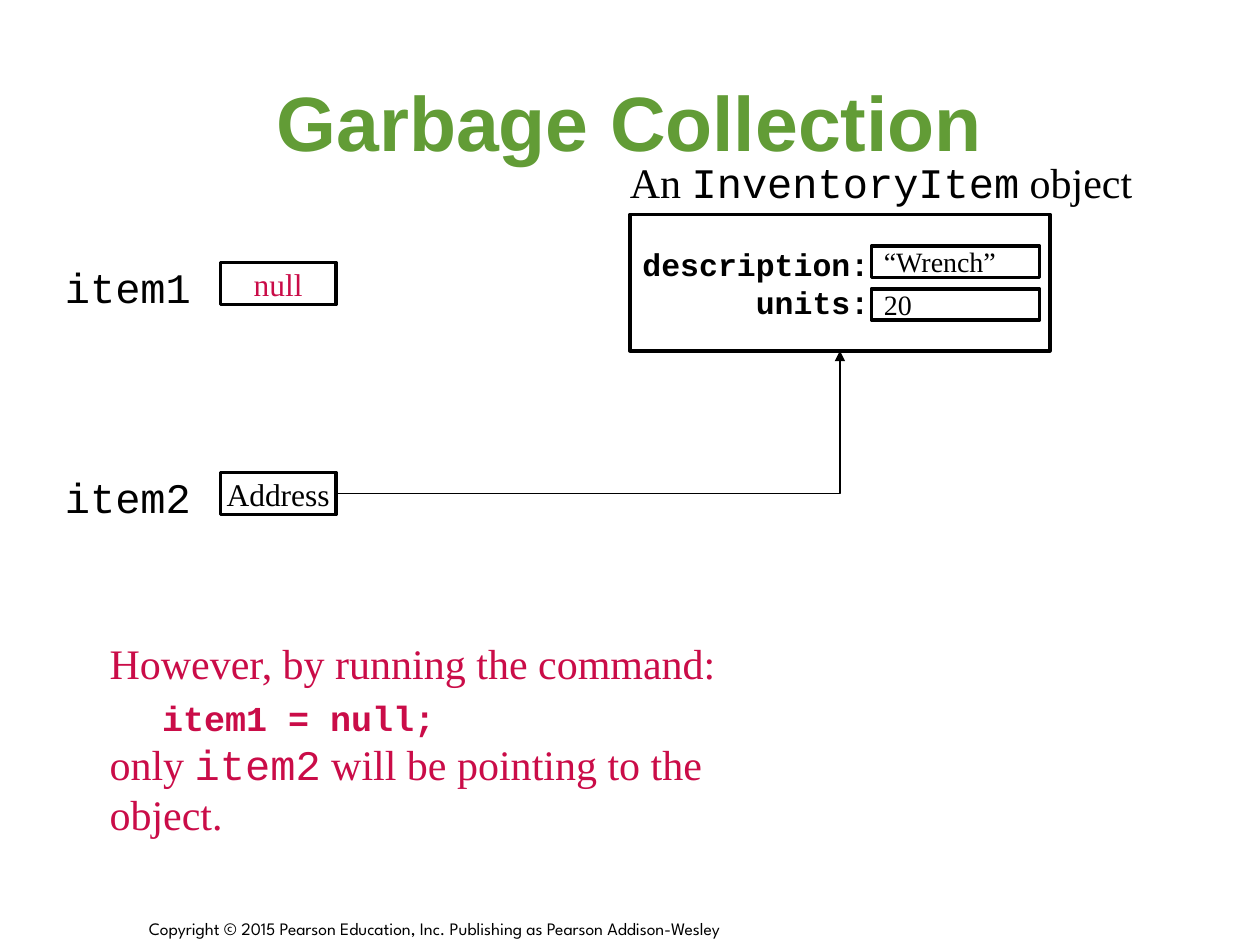
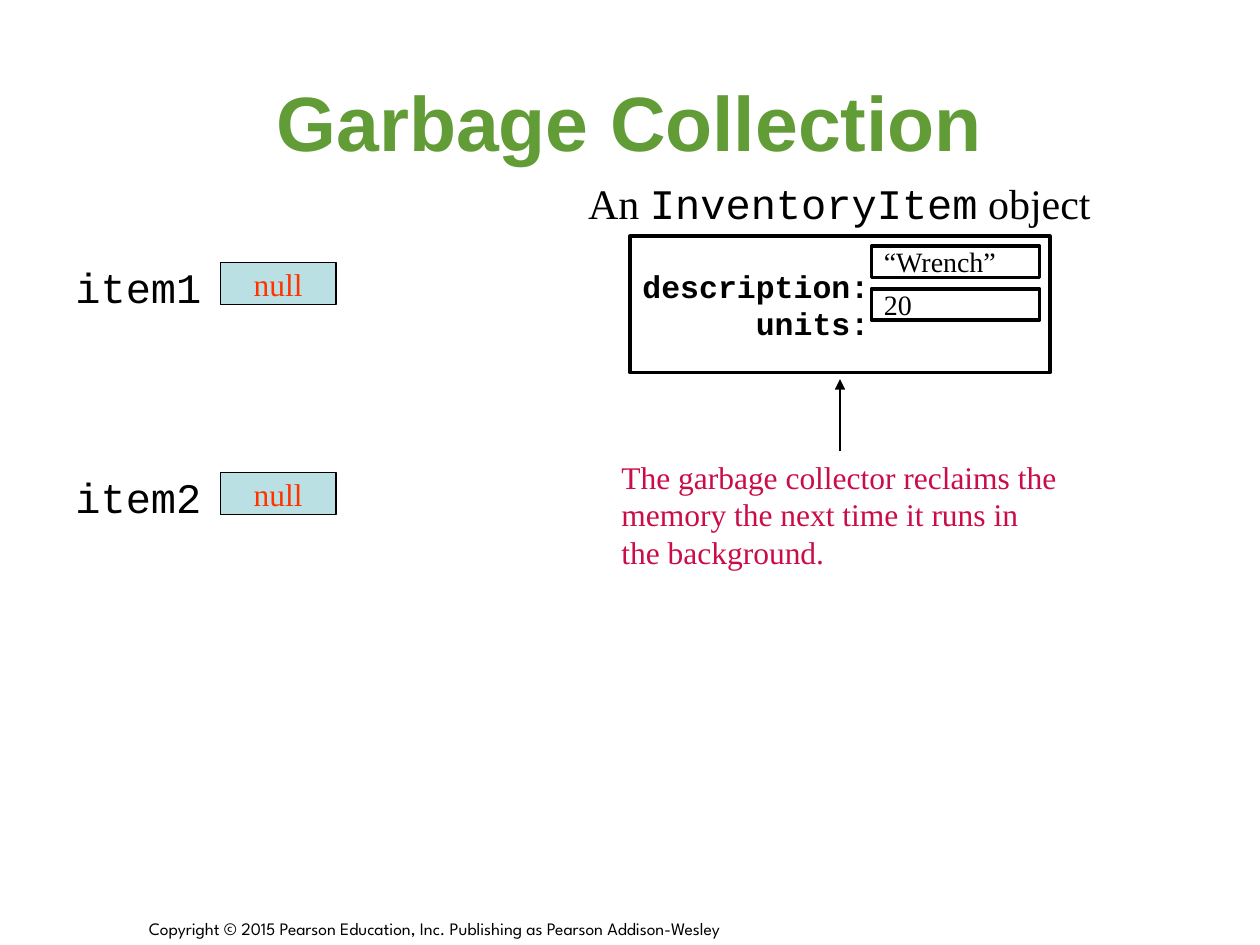
from lxml.etree import SubElement
from pptx import Presentation
from pptx.dml.color import RGBColor
from pptx.enum.shapes import MSO_CONNECTOR, MSO_SHAPE
from pptx.enum.text import MSO_ANCHOR, MSO_AUTO_SIZE, PP_ALIGN
from pptx.oxml.ns import qn
from pptx.util import Pt

# Shared style
BLACK, WHITE = "000000", "FFFFFF"
GREEN, CRIMSON, RED, PALE_BLUE = "629C36", "CA0C48", "FF3300", "BBE0E3"
SERIF, MONO, SANS, FOOTER_FONT = (
    "Times New Roman", "Courier New", "Arial", "League Spartan")

# Shared geometry, in points
ITEM_TOPS = {"item1": 150, "item2": 270}
ITEM_LEFT, ITEM_WIDTH, ITEM_HEIGHT = 126, 66, 24
OBJECT_LEFT, OBJECT_WIDTH, OBJECT_HEIGHT = 360, 240, 78
OBJECT_CENTRE = OBJECT_LEFT + OBJECT_WIDTH / 2
FIELD_TOP, FIELD_PITCH = 140.5, 24.5
UNITS_INDENT = 64.8


def rgb(color):
    return RGBColor.from_string(color)


def write_lines(frame, lines, size, color=BLACK, font=SERIF, bold=False,
                align=PP_ALIGN.LEFT):
    """Each line is a string, or a list of (text, font) runs."""
    for index, line in enumerate(lines):
        paragraph = frame.paragraphs[0] if index == 0 else frame.add_paragraph()
        paragraph.alignment = align
        for text, run_font in [(line, font)] if isinstance(line, str) else line:
            run = paragraph.add_run()
            run.text = text
            run.font.name = run_font
            run.font.size = Pt(size)
            run.font.bold = bold
            run.font.color.rgb = rgb(color)


def indent(paragraph, distance):
    properties = paragraph._p.get_or_add_pPr()
    properties.set("marL", str(Pt(distance)))
    properties.set("indent", "0")


def add_text(slide, left, top, width, height, lines, size, wrap=False,
             anchor=MSO_ANCHOR.TOP, grow=True, **style):
    frame = slide.shapes.add_textbox(
        Pt(left), Pt(top), Pt(width), Pt(height)).text_frame
    frame.word_wrap = wrap
    frame.vertical_anchor = anchor
    frame.auto_size = MSO_AUTO_SIZE.SHAPE_TO_FIT_TEXT if grow else MSO_AUTO_SIZE.NONE
    write_lines(frame, lines, size, **style)
    return frame


def add_box(slide, left, top, width, height, lines, size, fill=WHITE,
            border=2, **style):
    box = slide.shapes.add_shape(
        MSO_SHAPE.RECTANGLE, Pt(left), Pt(top), Pt(width), Pt(height))
    box.shadow.inherit = False
    box.fill.solid()
    box.fill.fore_color.rgb = rgb(fill)
    box.line.color.rgb = rgb(BLACK)
    box.line.width = Pt(border)
    frame = box.text_frame
    frame.word_wrap = False
    frame.vertical_anchor = MSO_ANCHOR.MIDDLE
    write_lines(frame, lines, size, **style)
    return frame


def add_arrow(slide, kind, start, end):
    arrow = slide.shapes.add_connector(kind, *map(Pt, start + end))
    arrow.line.color.rgb = rgb(BLACK)
    arrow.line.width = Pt(0.75)
    SubElement(arrow.line._get_or_add_ln(), qn("a:tailEnd"), type="triangle")
    properties = arrow._element.spPr
    SubElement(properties, qn("a:effectLst"))
    if kind == MSO_CONNECTOR.ELBOW:  # a single bend
        properties.find(qn("a:prstGeom")).set("prst", "bentConnector2")


def add_item(slide, name, label_left, value, color, **box_style):
    top = ITEM_TOPS[name]
    add_box(slide, ITEM_LEFT, top, ITEM_WIDTH, ITEM_HEIGHT, [value], 18,
            color=color, align=PP_ALIGN.CENTER, **box_style)
    add_text(slide, label_left, top - 4, 86.4, 36, [name], 24, font=MONO)


def add_inventory_object(slide, top, caption_left, caption_top):
    caption = [("An ", SERIF), ("InventoryItem", MONO), (" object", SERIF)]
    add_text(slide, caption_left, caption_top, 301.7, 36, [caption], 24)
    fields = add_box(slide, OBJECT_LEFT, top, OBJECT_WIDTH, OBJECT_HEIGHT,
                     ["description:", "units:"], 18, font=MONO, bold=True)
    indent(fields.paragraphs[1], UNITS_INDENT)
    for row, value in enumerate(["“Wrench”", "20"]):
        add_box(slide, 498, FIELD_TOP + row * FIELD_PITCH, 96, 18, [value], 16)


def add_base_slide(presentation):
    slide = presentation.slides.add_slide(presentation.slide_layouts[6])
    add_text(slide, 78, 516, 515.5, 24,
             ["Copyright © 2015 Pearson Education, Inc. "
              "Publishing as Pearson Addison-Wesley"],
             10, wrap=True, anchor=MSO_ANCHOR.BOTTOM, grow=False, font=FOOTER_FONT)
    add_text(slide, 36, 24, 648, 90, ["Garbage Collection"], 44, wrap=True,
             anchor=MSO_ANCHOR.MIDDLE, grow=False, color=GREEN, font=SANS,
             bold=True, align=PP_ALIGN.CENTER)
    return slide


def build_one_reference(presentation):
    slide = add_base_slide(presentation)
    object_top = 122.5
    add_item(slide, "item1", 30, "null", CRIMSON)
    add_inventory_object(slide, object_top, 352.8, 85.7)
    add_item(slide, "item2", 30, "Address", BLACK)
    add_arrow(slide, MSO_CONNECTOR.ELBOW,
              (ITEM_LEFT + ITEM_WIDTH, ITEM_TOPS["item2"] + ITEM_HEIGHT / 2),
              (OBJECT_CENTRE, object_top + OBJECT_HEIGHT))

    # Explanation with the command on its own line
    explanation = add_text(
        slide, 55.5, 360.7, 423.4, 93.6,
        ["However, by running the command:",
         [("item1 = null;", MONO)],
         [("only ", SERIF), ("item2", MONO),
          (" will be pointing to the object.", SERIF)]],
        24, color=CRIMSON)
    command = explanation.paragraphs[1]
    indent(command, 30)
    command.space_before = Pt(4.8)
    command.runs[0].font.size = Pt(20)
    command.runs[0].font.bold = True


def build_no_references(presentation):
    slide = add_base_slide(presentation)
    add_inventory_object(slide, 135, 329, 97.9)
    for name in ITEM_TOPS:
        add_item(slide, name, 36, "null", RED, fill=PALE_BLUE, border=0.75)

    # Note on the collector
    add_text(slide, 348, 258, 264, 72,
             ["The garbage collector reclaims the memory the next time "
              "it runs in the background."],
             18, wrap=True, color=CRIMSON)
    add_arrow(slide, MSO_CONNECTOR.STRAIGHT,
              (OBJECT_CENTRE, 258), (OBJECT_CENTRE, 216.7))


def main():
    presentation = Presentation()
    presentation.slide_width, presentation.slide_height = Pt(720), Pt(540)
    build_one_reference(presentation)
    build_no_references(presentation)
    presentation.save("out.pptx")


if __name__ == "__main__":
    main()
